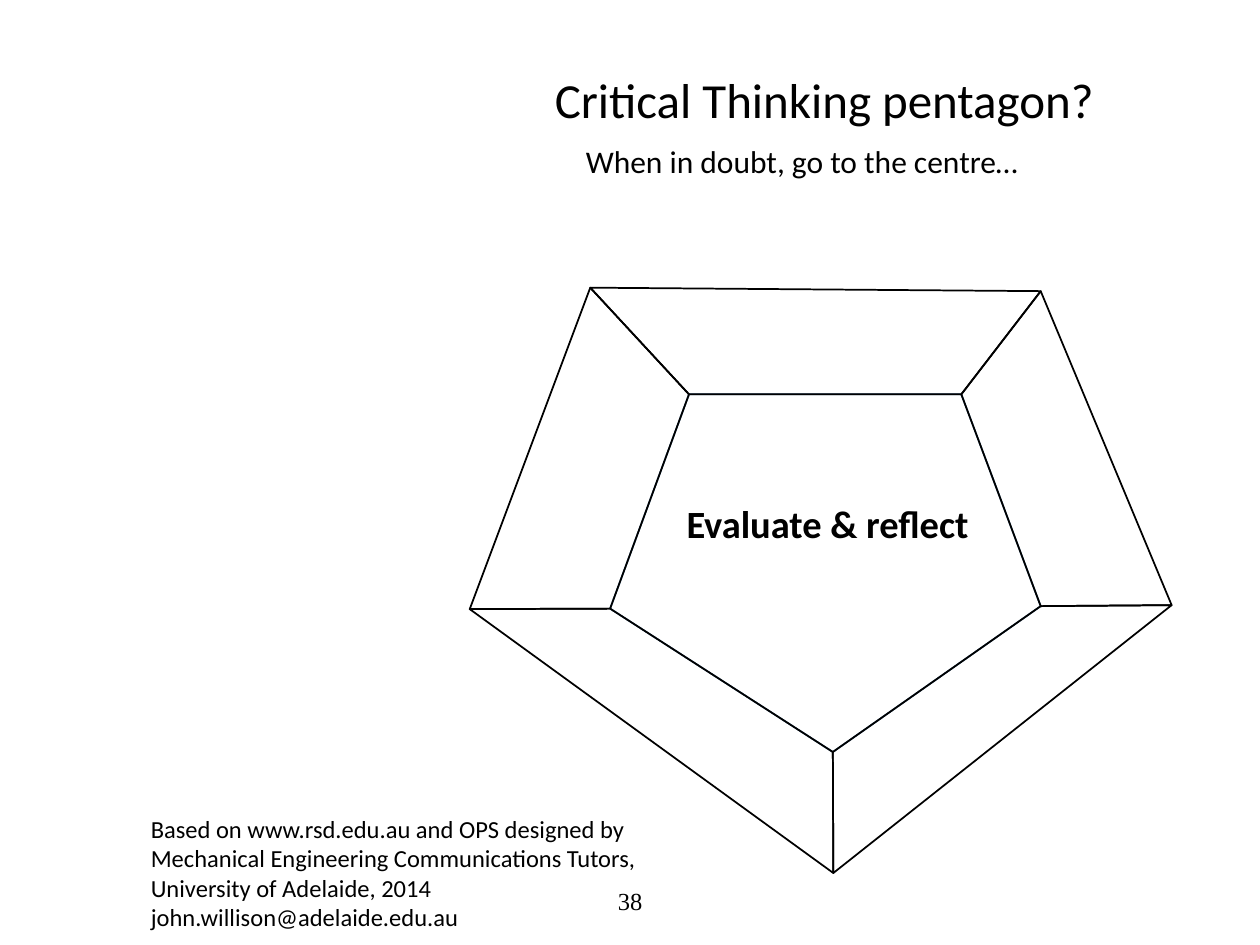
from pptx import Presentation
from pptx import util as u
from pptx.dml.color import RGBColor
from pptx.enum import text

COLORS = {"ink": "000000", "blue": "43739E"}

# Matching corners, clockwise from top left (cm)
INNER = [(13.89, 7.95), (19.38, 7.95), (20.98, 12.22), (16.79, 15.16), (12.3, 12.27)]
OUTER = [(11.9, 5.8), (20.98, 5.87), (23.62, 12.2), (16.8, 17.6), (9.47, 12.28)]

TITLE = ("Critical Thinking pentagon?", (8.64, 1.27, 15.95, 1.45))
L, C = text.PP_ALIGN.LEFT, text.PP_ALIGN.CENTER
TOP, MIDDLE = text.MSO_ANCHOR.TOP, text.MSO_ANCHOR.MIDDLE

# Paragraphs, box (cm), font, size, bold, alignment, anchor
LABELS = [
    (["When in doubt, go to the centre…"], (11.56, 2.74, 10.41, 1.02),
     "Calibri", 18, False, L, TOP),
    (["Based on www.rsd.edu.au and OPS designed by Mechanical Engineering "
      "Communications Tutors, University of Adelaide, 2014",
      "john.willison@adelaide.edu.au"], (2.79, 16.28, 11.1, 2.7),
     "Calibri", 14, False, L, TOP),
    (["38"], (8.41, 17.65, 8.59, 1.02), "Times New Roman", 14, False, C, MIDDLE),
    (["Evaluate & reflect"], (13.59, 9.96, 6.32, 1.19), "Calibri", 22, True, L, TOP),
]


def rgb(name):
    return RGBColor.from_string(COLORS[name])


def add_outline(s, corners, color):
    points = [(u.Cm(x), u.Cm(y)) for x, y in corners]
    fb = s.shapes.build_freeform(*points[0])
    fb.add_line_segments(points[1:], close=True)
    sp = fb.convert_to_shape()
    sp.shadow.inherit = False
    sp.fill.background()
    sp.line.color.rgb = rgb(color)
    sp.line.width = u.Pt(1)


def set_text(sp, lines, font, size, bold, align, anchor):
    tf = sp.text_frame
    tf.word_wrap = True
    tf.auto_size = text.MSO_AUTO_SIZE.NONE
    tf.vertical_anchor = anchor
    tf.text = "\n".join(lines)
    for p in tf.paragraphs:
        p.alignment = align
        p.font.name = font
        p.font.size = u.Pt(size)
        p.font.bold = bold
        p.font.color.rgb = rgb("ink")


def main():
    prs = Presentation()
    prs.slide_width, prs.slide_height = u.Cm(25.4), u.Cm(19.05)
    s = prs.slides.add_slide(prs.slide_layouts[5])

    # Pentagon core, then one panel per side
    add_outline(s, INNER, "blue")
    for i in range(len(INNER)):
        j = (i + 1) % len(INNER)
        add_outline(s, [INNER[i], OUTER[i], OUTER[j], INNER[j]], "ink")

    # Title
    title, box = TITLE
    sp = s.shapes.title
    sp.left, sp.top, sp.width, sp.height = map(u.Cm, box)
    set_text(sp, [title], "Calibri", 28, False, C, TOP)

    # Subtitle, credit, page number and core label
    for lines, box, *style in LABELS:
        set_text(s.shapes.add_textbox(*map(u.Cm, box)), lines, *style)

    prs.save("out.pptx")


if __name__ == "__main__":
    main()
